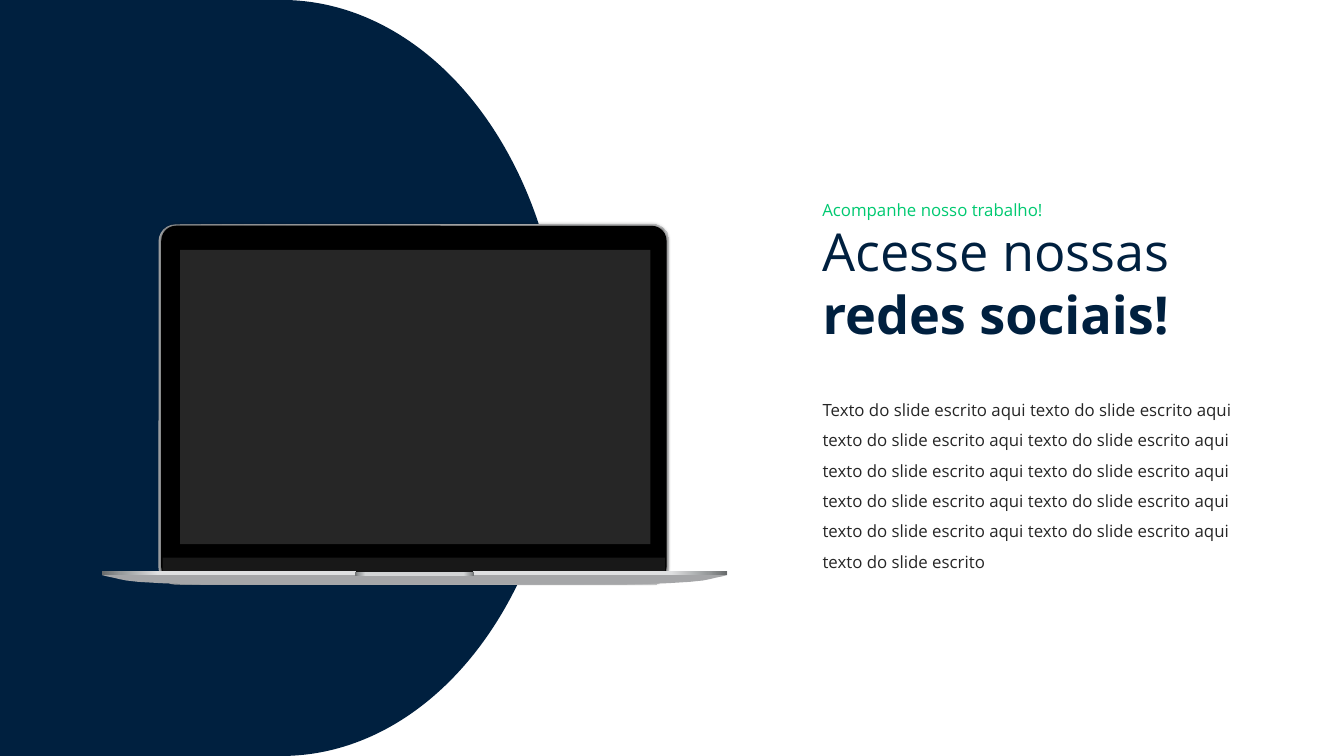
from lxml import etree
from pptx import Presentation
from pptx.dml.color import RGBColor
from pptx.enum.shapes import MSO_SHAPE
from pptx.enum.text import MSO_ANCHOR, MSO_AUTO_SIZE, PP_ALIGN
from pptx.oxml.ns import qn
from pptx.util import Inches, Pt

DELAY = MSO_SHAPE.FLOWCHART_DELAY
RECTANGLE = MSO_SHAPE.RECTANGLE
ROUNDED = MSO_SHAPE.ROUNDED_RECTANGLE
ROUNDED_PAIR = MSO_SHAPE.ROUND_2_SAME_RECTANGLE
TOP = MSO_ANCHOR.TOP
NO_AUTOFIT = MSO_AUTO_SIZE.NONE
LEFT = PP_ALIGN.LEFT

SLIDE_WIDTH = 10
SLIDE_HEIGHT = SLIDE_WIDTH * 9 / 16
FONT = "Open Sans"
NAVY, GREEN, CHARCOAL = "00203F", "00C971", "262626"
LID_GRADIENT = [(0, "B0B2B4"), (100, "DFE0E1")]


def color(hex_string):
    return RGBColor.from_string(hex_string)


def metal_gradient(middle):
    """Symmetric metal sheen: dark ends around a light middle."""
    return [(0, "686B6C"), (3, "96999A"), (9, middle),
            (91, middle), (97, "96999A"), (100, "686B6C")]


def paint(shape, fill):
    """Fill with a hex colour, or with a list of (percent, hex) stops."""
    shape.shadow.inherit = False
    shape.line.fill.background()
    if isinstance(fill, str):
        shape.fill.solid()
        shape.fill.fore_color.rgb = color(fill)
        return
    shape.fill.gradient()
    shape.fill.gradient_angle = 0
    stop_list = shape._element.spPr.find(".//" + qn("a:gsLst"))
    for stop in list(stop_list):
        stop_list.remove(stop)
    for percent, hex_string in fill:
        stop = etree.SubElement(stop_list, qn("a:gs"), pos=str(percent * 1000))
        etree.SubElement(stop, qn("a:srgbClr"), val=hex_string)


def add_preset(shapes, kind, box, fill, adjustments=()):
    shape = shapes.add_shape(kind, *map(Inches, box))
    for index, value in enumerate(adjustments):
        shape.adjustments[index] = value
    paint(shape, fill)
    return shape


def add_outline(shapes, points, fill):
    corners = [(Inches(x), Inches(y)) for x, y in points]
    builder = shapes.build_freeform(*corners[0])
    builder.add_line_segments(corners[1:], close=True)
    paint(builder.convert_to_shape(), fill)


def add_soft_shadow(shape):
    effects = shape._element.spPr.find(qn("a:effectLst"))
    shadow = etree.SubElement(effects, qn("a:outerShdw"), blurRad=str(Pt(2)))
    shade = etree.SubElement(shadow, qn("a:srgbClr"), val="000000")
    etree.SubElement(shade, qn("a:alpha"), val="61000")


def write_text(shape, box, runs, size, hex_string, line_spacing=1.0):
    """Place a text shape and fill it with (text, bold) runs."""
    shape.left, shape.top, shape.width, shape.height = map(Inches, box)
    frame = shape.text_frame
    frame.word_wrap = True
    frame.auto_size = NO_AUTOFIT
    frame.vertical_anchor = TOP
    paragraph = frame.paragraphs[0]
    paragraph.alignment = LEFT
    paragraph.line_spacing = line_spacing
    paragraph.space_before = Pt(0)
    for text, bold in runs:
        run = paragraph.add_run()
        run.text = text
        run.font.name = FONT
        run.font.size = Pt(size)
        run.font.bold = bold
        run.font.color.rgb = color(hex_string)
    return paragraph


def remove_bullet(paragraph):
    properties = paragraph._p.get_or_add_pPr()
    properties.set("marL", "0")
    properties.set("indent", "0")
    etree.SubElement(properties, qn("a:buNone"))


def add_laptop(slide):
    shapes = slide.shapes.add_group_shape().shapes

    # Lid, bezel, chin and screen
    add_preset(shapes, ROUNDED, (1.18, 1.67, 3.8, 2.68), LID_GRADIENT, [0.047])
    bezel = add_preset(shapes, ROUNDED, (1.2, 1.68, 3.76, 2.65), "000000", [0.042])
    add_soft_shadow(bezel)
    add_preset(shapes, ROUNDED_PAIR, (1.21, 4.15, 3.74, 0.17), "181818", [0, 0.5])
    add_preset(shapes, RECTANGLE, (1.34, 1.86, 3.5, 2.19), CHARCOAL)

    # Curved underside, keyboard deck and thumb notch
    add_outline(shapes, [
        (5.41, 4.25), (3.53, 4.26), (3.49, 4.28), (2.69, 4.28), (2.64, 4.26),
        (0.76, 4.25), (0.76, 4.28), (0.8, 4.29), (0.85, 4.3), (0.89, 4.31),
        (0.94, 4.32), (1.03, 4.33), (1.2, 4.34), (1.5, 4.35), (4.65, 4.35),
        (4.97, 4.34), (5.13, 4.33), (5.23, 4.32), (5.28, 4.31), (5.32, 4.3),
        (5.37, 4.29), (5.41, 4.28)], "A5A6A8")
    add_outline(shapes, [
        (5.41, 4.28), (0.76, 4.28), (0.76, 4.25), (2.64, 4.25), (2.66, 4.27),
        (3.51, 4.27), (3.53, 4.25), (5.41, 4.25)], metal_gradient("DFE0E1"))
    add_outline(shapes, [
        (3.53, 4.26), (2.64, 4.26), (2.64, 4.28), (2.67, 4.29), (3.49, 4.29),
        (3.53, 4.28)], metal_gradient("D3D5D6"))


def main():
    presentation = Presentation()
    presentation.slide_width = Inches(SLIDE_WIDTH)
    presentation.slide_height = Inches(SLIDE_HEIGHT)
    slide = presentation.slides.add_slide(presentation.slide_layouts[1])

    # Left-hand illustration
    add_preset(slide.shapes, DELAY, (0, 0, 4.19, SLIDE_HEIGHT), NAVY)
    add_laptop(slide)

    # Right-hand text
    write_text(slide.shapes.title, (6.02, 1.58, 3.83, 1.04),
               [("Acesse nossas ", False), ("redes sociais!", True)], 28, NAVY)
    tagline = slide.shapes.add_textbox(0, 0, 0, 0)
    write_text(tagline, (6.02, 1.44, 3.54, 0.25),
               [("Acompanhe nosso trabalho!", False)], 9, GREEN)
    phrase = "exto do slide escrito"
    body_text = "T" + " aqui t".join([phrase] * 11)
    body = write_text(slide.placeholders[1], (6.02, 2.85, 3.4, 1.44),
                      [(body_text, False)], 9, CHARCOAL, line_spacing=1.5)
    remove_bullet(body)

    presentation.save("out.pptx")


if __name__ == "__main__":
    main()
